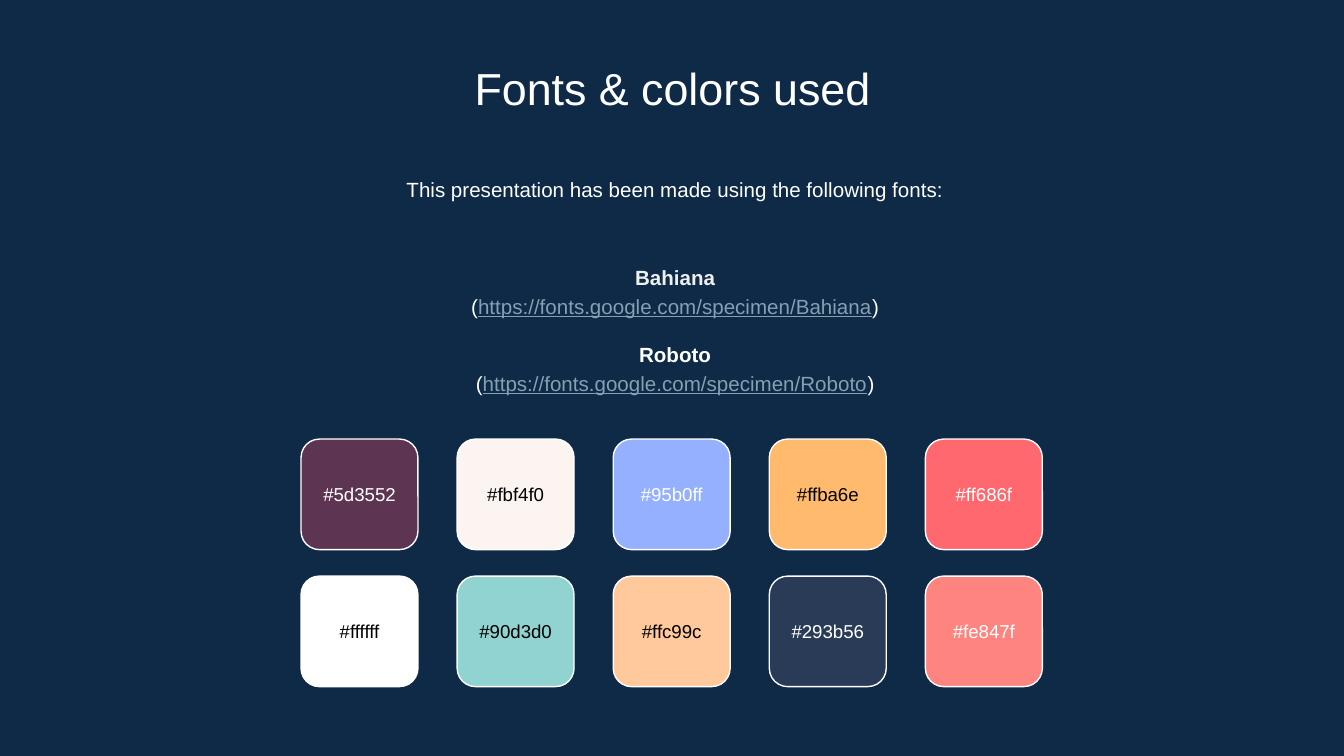
from pptx import Presentation
from pptx import util as u
from pptx.dml import color
from pptx.enum import shapes, text

WHITE, BLACK, PALE, LINK = "FFFFFF", "000000", "EFEFEF", "869FB2"
SWATCHES = [
    [("5d3552", WHITE), ("fbf4f0", BLACK), ("95b0ff", WHITE), ("ffba6e", BLACK), ("ff686f", WHITE)],
    [("ffffff", BLACK), ("90d3d0", BLACK), ("ffc99c", BLACK), ("293b56", WHITE), ("fe847f", WHITE)],
]
FONTS = [("Bahiana", PALE), ("Roboto", WHITE)]


def rgb(value):
    return color.RGBColor.from_string(value.upper())


def apply(target, values):
    for name, value in values.items():
        setattr(target, name, value)


class SlideBuilder:
    """Holds the style and the current slide."""

    font = "Arial"
    inset = u.Cm(0.25)
    line_width = u.Pt(0.75)

    def __init__(self, presentation, background):
        self.slide = presentation.slides.add_slide(presentation.slide_layouts[6])
        fill = self.slide.background.fill
        fill.solid()
        fill.fore_color.rgb = rgb(background)

    def text_box(self, box, paragraphs, size, anchor="TOP", spacing=1.0):
        frame = self.slide.shapes.add_textbox(*map(u.Cm, box)).text_frame
        sides = ("left", "top", "right", "bottom")
        apply(frame, {f"margin_{side}": self.inset for side in sides})
        apply(frame, {"word_wrap": True, "vertical_anchor": text.MSO_ANCHOR[anchor]})
        for index, (before, runs) in enumerate(paragraphs):
            paragraph = frame.add_paragraph() if index else frame.paragraphs[0]
            apply(paragraph, {"alignment": text.PP_ALIGN.CENTER,
                              "line_spacing": spacing, "space_before": u.Pt(before)})
            for words, shade, style in runs:
                run = paragraph.add_run()
                run.text = words
                apply(run.font, {"name": self.font, "size": u.Pt(size), **style})
                run.font.color.rgb = rgb(shade)

    def swatch(self, left, top, width, height, fill, shade):
        shape = self.slide.shapes.add_shape(
            shapes.MSO_SHAPE.ROUNDED_RECTANGLE, *map(u.Cm, (left, top, width, height)))
        shape.shadow.inherit = False
        shape.fill.solid()
        shape.fill.fore_color.rgb = rgb(fill)
        shape.line.color.rgb = rgb(WHITE)
        shape.line.width = self.line_width
        label_height = 1.22
        label_top = top + (height - label_height) / 2
        self.text_box((left, label_top, width, label_height),
                      [(0, [(f"#{fill}", shade, {})])], 10, "MIDDLE")


def main():
    presentation = Presentation()
    apply(presentation, {"slide_width": u.Cm(25.4), "slide_height": u.Cm(14.29)})
    builder = SlideBuilder(presentation, "0E2A47")

    builder.text_box((2.92, 0.89, 19.58, 1.35),
                     [(0, [("Fonts & colors used", WHITE, {})])], 24)
    intro = "This presentation has been made using the following fonts:"
    builder.text_box((2.97, 3.02, 19.58, 1.22), [(0, [(intro, WHITE, {})])], 11, spacing=1.15)

    paragraphs = []
    for index, (name, shade) in enumerate(FONTS):
        address = f"https://fonts.google.com/specimen/{name}"
        paragraphs += [
            (11 * index, [(name, shade, {"bold": True})]),
            (0, [("(", WHITE, {}), (address, LINK, {"underline": True}), (")", WHITE, {})]),
        ]
    builder.text_box((2.97, 4.47, 19.58, 3.48), paragraphs, 11, "MIDDLE", 1.15)

    for row, swatches in enumerate(SWATCHES):
        for column, (fill, shade) in enumerate(swatches):
            builder.swatch(5.69 + 2.95 * column, 8.3 + 2.59 * row, 2.21, 2.09, fill, shade)

    presentation.save("out.pptx")


if __name__ == "__main__":
    main()
